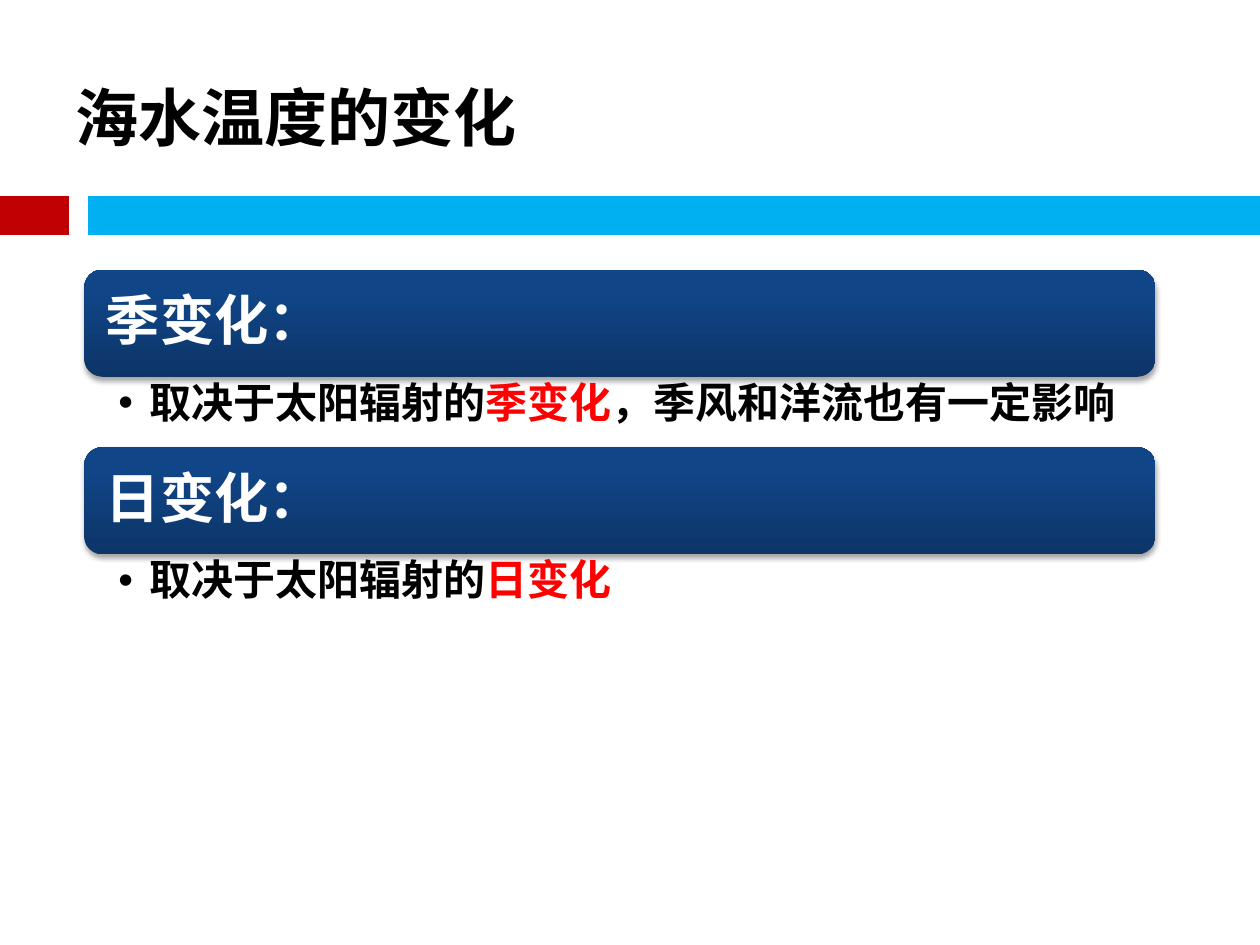
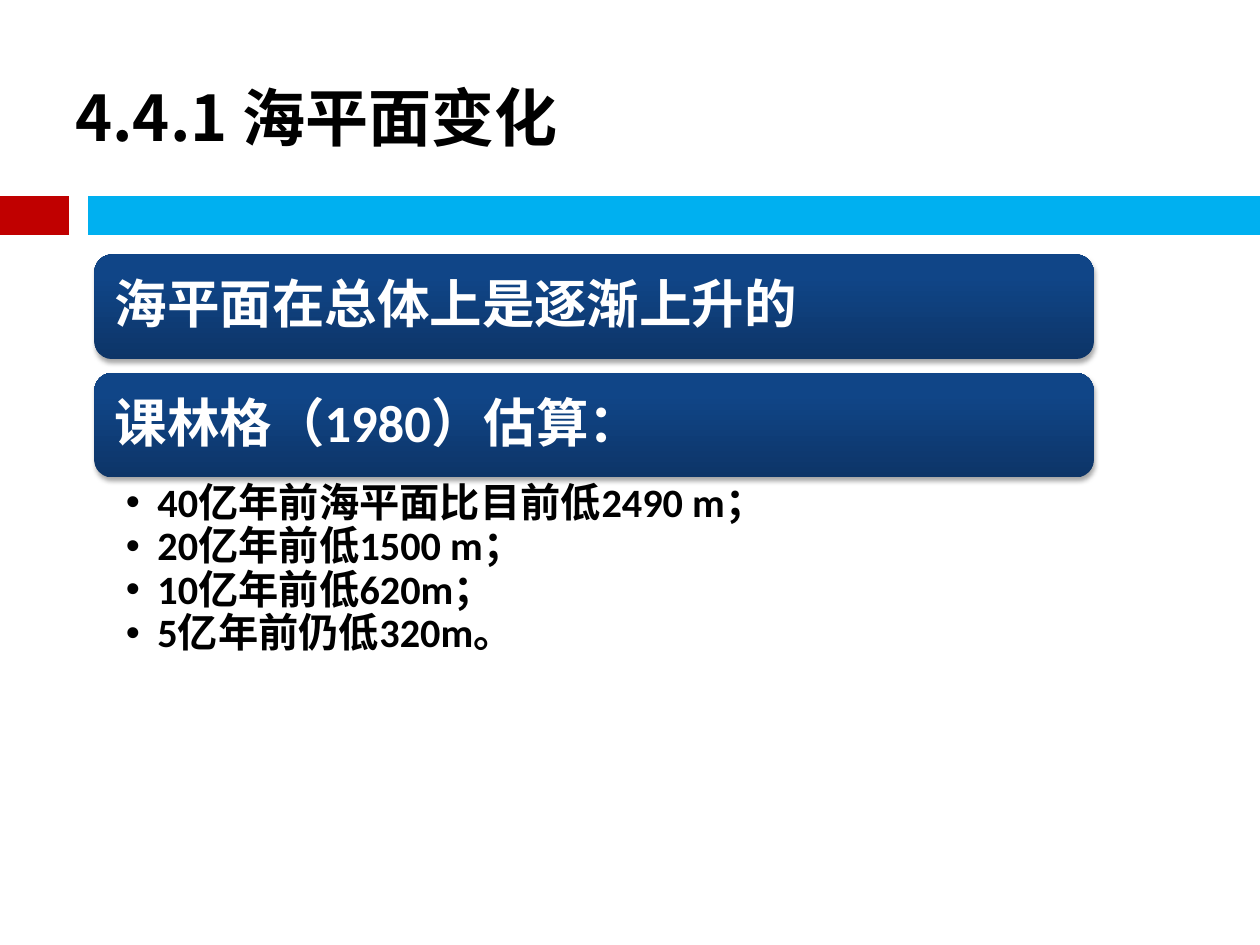
from copy import deepcopy
from lxml.etree import SubElement as Sub
from pptx import Presentation
from pptx.dml.color import RGBColor as RGB
from pptx.enum.shapes import MSO_CONNECTOR as LINE, MSO_SHAPE as SHAPE
from pptx.enum.text import MSO_ANCHOR as ANCHOR, PP_ALIGN as ALIGN
from pptx.oxml.ns import qn
from pptx.util import Emu, Inches, Pt

COLORS = {"red": "C00000", "sky": "00B0F0", "ink": "000000",
          "white": "FFFFFF", "mark": "FF0000"}
SHADE = [(0, "0D3568"), (0.8, "104587"), (1, "0E458A")]
LATIN, HAN = "Calibri", "Noto Sans CJK SC"


class Deck:
    """Shared style and the current slide."""

    def __init__(self):
        self.prs = Presentation()
        self.prs.slide_width = Inches(10)
        self.prs.slide_height = Inches(7.5)
        self.slide = None

    def page(self, title):
        self.slide = self.prs.slides.add_slide(self.prs.slide_layouts[6])
        self.band(0, 0.55, "red")
        self.band(0.7, 10, "sky")
        box = self.slide.shapes.add_textbox(*map(Inches, (0.5, 0.3, 9, 1.25)))
        frame = self.frame(box, ANCHOR.MIDDLE, (0.1, 0.05, 0.1, 0.05))
        self.run(frame.paragraphs[0], title, 36, "ink", HAN)

    def band(self, start, end, color):
        y = Inches(1.71)
        line = self.slide.shapes.add_connector(
            LINE.STRAIGHT, Inches(start), y, Inches(end), y)
        line.line.color.rgb = RGB.from_string(COLORS[color])
        line.line.width = Pt(22)
        Sub(line._element.spPr, qn("a:effectLst"))

    def frame(self, shape, anchor, pads):
        frame = shape.text_frame
        sides = ("margin_left", "margin_top", "margin_right", "margin_bottom")
        form = dict(zip(sides, map(Inches, pads)))
        form.update(word_wrap=True, vertical_anchor=anchor)
        for name, value in form.items():
            setattr(frame, name, value)
        return frame

    def run(self, para, text, size, color, face=LATIN):
        run = para.add_run()
        run.text = text
        form = {"size": Pt(size), "bold": True, "name": face}
        for name, value in form.items():
            setattr(run.font, name, value)
        run.font.color.rgb = RGB.from_string(COLORS[color])
        Sub(run.font._element, qn("a:ea"), typeface=HAN)

    def shade(self, shape):
        """Three-stop gradient that runs upward."""
        shape.fill.gradient()
        shape.fill.gradient_angle = 90
        stops = shape._element.spPr.find(".//" + qn("a:gsLst"))
        stops.append(deepcopy(stops[0]))
        for stop, (pos, color) in zip(shape.fill.gradient_stops, SHADE):
            stop.position = pos
            stop.color.rgb = RGB.from_string(color)

    def shadow(self, shape):
        shape.shadow.inherit = False
        effects = shape._element.spPr.find(qn("a:effectLst"))
        drop = Sub(effects, qn("a:outerShdw"), blurRad=str(Pt(3.1)),
                   dist=str(Pt(1.8)), dir="5400000", rotWithShape="0")
        black = Sub(drop, qn("a:srgbClr"), val="000000")
        Sub(black, qn("a:alpha"), val="35000")

    def bar(self, place, text, size, pad):
        bar = self.slide.shapes.add_shape(
            SHAPE.ROUNDED_RECTANGLE, *map(Inches, place))
        self.shade(bar)
        bar.line.fill.background()
        self.shadow(bar)
        para = self.frame(bar, ANCHOR.MIDDLE, [pad] * 4).paragraphs[0]
        para.alignment = ALIGN.LEFT
        para.line_spacing = 0.9
        self.run(para, text, size, "white")

    def points(self, place, rows, size, pads):
        """Bullets; each row is a list of (text, color) runs."""
        box = self.slide.shapes.add_textbox(*map(Inches, place))
        frame = self.frame(box, ANCHOR.TOP, pads)
        for i, row in enumerate(rows):
            para = frame.add_paragraph() if i else frame.paragraphs[0]
            para.line_spacing = 0.9
            props = para._p.get_or_add_pPr()
            props.set("marL", str(Inches(0.25)))
            props.set("indent", str(Emu(-Inches(0.25))))
            Sub(props, qn("a:buFont"), typeface="Arial")
            Sub(props, qn("a:buChar"), char="•")
            for text, color in row:
                self.run(para, text, size, color)


def main():
    deck = Deck()

    # Temperature: bar and bullet in equal steps
    deck.page("海水温度的变化")
    left, top, wide, high, step = 0.67, 2.14, 8.5, 0.85, 1.41
    cause = ("取决于太阳辐射的", "ink")
    parts = [
        ("季变化：", [cause, ("季变化", "mark"),
                  ("，季风和洋流也有一定影响", "ink")]),
        ("日变化：", [cause, ("日变化", "mark")]),
    ]
    for i, (head, row) in enumerate(parts):
        y = top + i * step
        deck.bar((left, y, wide, high), head, 31, 0.13)
        deck.points((left, y + high, wide, 0.56), [row], 24,
                    (0.27, 0.04, 0.24, 0.04))

    # Sea level: two bars, then the estimates
    deck.page("4.4.1 海平面变化")
    left, top, wide, high, step = 0.75, 2.02, 7.93, 0.83, 0.94
    heads = ["海平面在总体上是逐渐上升的", "课林格（1980）估算："]
    for i, head in enumerate(heads):
        deck.bar((left, top + i * step, wide, high), head, 30, 0.12)
    rows = ["40亿年前海平面比目前低2490 m；", "20亿年前低1500 m；",
            "10亿年前低620m；", "5亿年前仍低320m。"]
    deck.points((left, top + step + high, wide, 1.83),
                [[(row, "ink")] for row in rows], 23,
                (0.25, 0.04, 0.23, 0.04))

    deck.prs.save("out.pptx")


if __name__ == "__main__":
    main()
